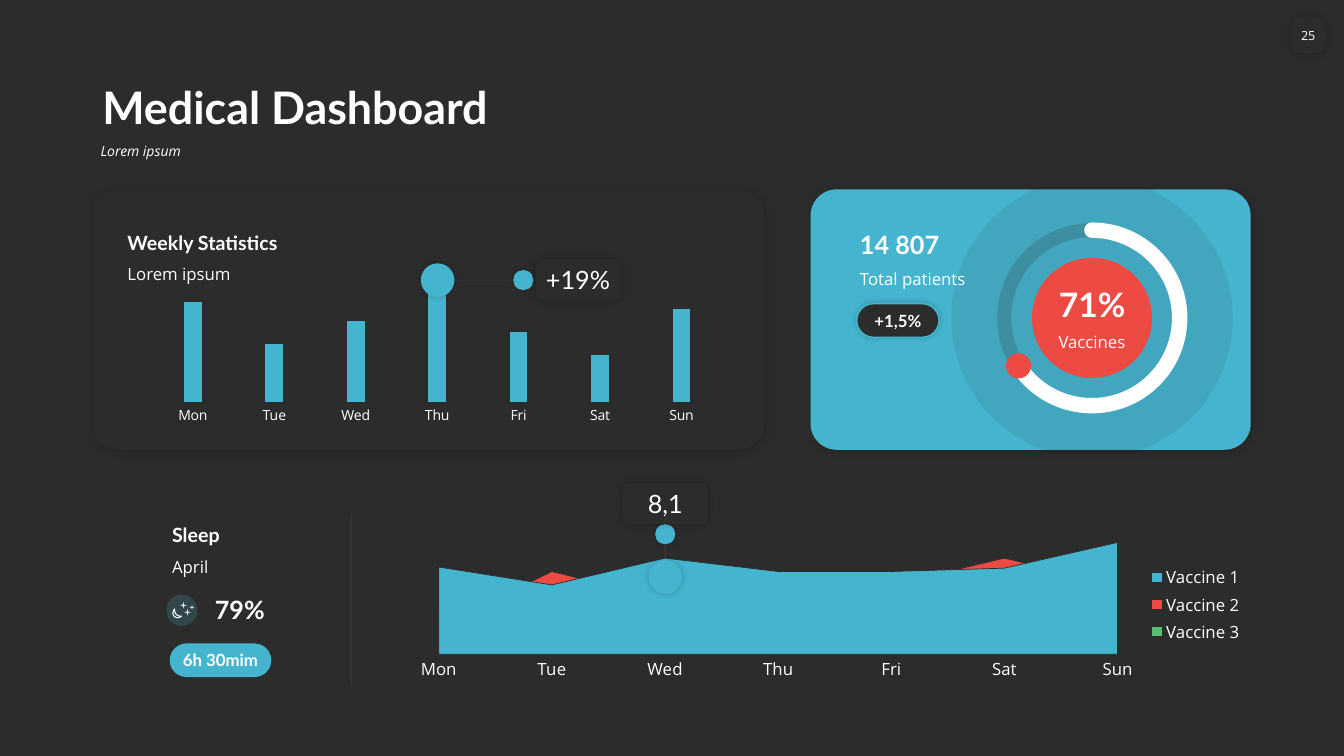
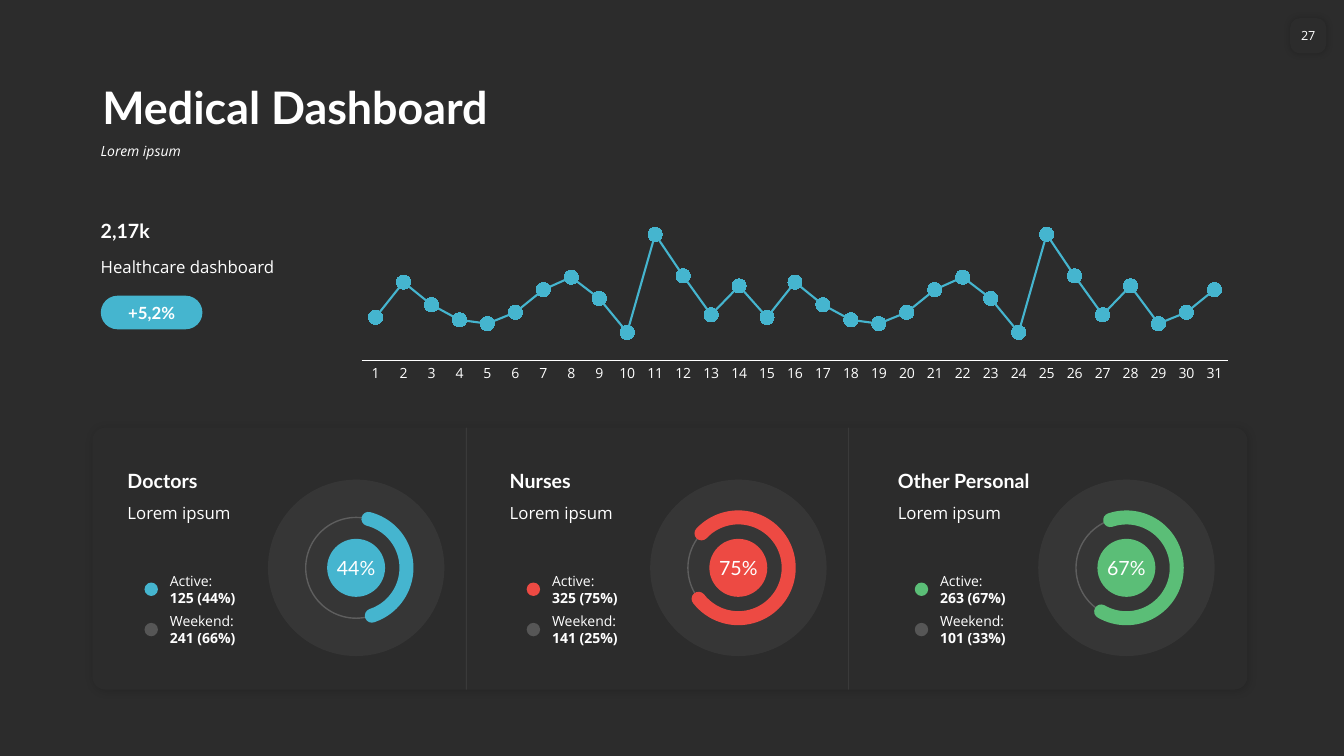
from lxml.etree import SubElement
from pptx import Presentation
from pptx.chart.data import CategoryChartData
from pptx.dml.color import RGBColor
from pptx.enum.chart import XL_CHART_TYPE, XL_LEGEND_POSITION, XL_MARKER_STYLE, XL_TICK_MARK
from pptx.enum.shapes import MSO_CONNECTOR, MSO_SHAPE
from pptx.enum.text import MSO_ANCHOR, PP_ALIGN
from pptx.oxml import parse_xml
from pptx.oxml.ns import nsdecls, qn
from pptx.util import Inches, Pt

DARK, WHITE, BLUE, RED, GREEN = "2C2C2C", "FFFFFF", "45B5CF", "ED4A43", "5BBE77"
HEAD, BODY = "Lato", "Open Sans"
DAYS = ["Mon", "Tue", "Wed", "Thu", "Fri", "Sat", "Sun"]
COLS, ROWS = 160, 90
PAD = (0.1, 0.05)
SOFT, WIDE = (20, 5, 0), (15, 6, 1)

prs = Presentation()
prs.slide_width, prs.slide_height = Inches(13.333), Inches(7.5)


def rgb(color):
    return RGBColor.from_string(color)


def place(box, x, y, w, h):
    cw, rh = prs.slide_width / COLS, prs.slide_height / ROWS
    return [int(v) for v in ((box[0] + x) * cw, (box[1] + y) * rh, w * cw, h * rh)]


def fade(element, alpha):
    for clr in element.iter(qn("a:srgbClr")):
        SubElement(clr, qn("a:alpha"), val=str(alpha * 1000))


def style_line(line, color, width):
    line.color.rgb = rgb(color)
    line.width = Pt(width)


def style_font(font, size, name=BODY, bold=False, italic=False):
    font.size, font.name, font.bold, font.italic = Pt(size), name, bold, italic
    font.color.rgb = rgb(WHITE)


def write(tf, runs, anchor=MSO_ANCHOR.TOP, align=PP_ALIGN.LEFT, pad=PAD, wrap=True, spacing=1.0):
    tf.word_wrap, tf.vertical_anchor = wrap, anchor
    tf.margin_left = tf.margin_right = Inches(pad[0])
    tf.margin_top = tf.margin_bottom = Inches(pad[1])
    for i, (text, *font) in enumerate(runs):
        p = tf.add_paragraph() if i else tf.paragraphs[0]
        p.alignment, p.line_spacing = align, spacing
        r = p.add_run()
        r.text = text
        style_font(r.font, *font)


def label(s, box, part, runs, **kw):
    write(s.shapes.add_textbox(*place(box, *part)).text_frame, runs, **kw)


def heading(s, box, x, y, w, title, note, size=14, gap=0.0, align=PP_ALIGN.LEFT):
    h = {14: 4.1, 18: 4.8, 24: 6}[size]
    label(s, box, (x, y, w, h), [(title, size, HEAD, True)], anchor=MSO_ANCHOR.BOTTOM, align=align)
    if note:
        label(s, box, (x, y + h + gap, w, 3.6), [(note, 12)], align=align)


def shape(s, box, part, kind, fill=None, line=None, alpha=None, shadow=None, adj=()):
    sp = s.shapes.add_shape(kind, *place(box, *part))
    sp.shadow.inherit = False
    for i, v in enumerate(adj):
        sp.adjustments[i] = v
    if fill:
        sp.fill.solid()
        sp.fill.fore_color.rgb = rgb(fill)
    else:
        sp.fill.background()
    if line:
        style_line(sp.line, *line)
    else:
        sp.line.fill.background()
    if alpha:
        fade(sp.element.spPr, alpha)
    if shadow:
        opacity, blur, dist = shadow
        outer = SubElement(sp.element.spPr.find(qn("a:effectLst")), qn("a:outerShdw"),
                           blurRad=str(Pt(blur)), dist=str(Pt(dist)), dir="2700000")
        clr = SubElement(outer, qn("a:srgbClr"), val="000000")
        SubElement(clr, qn("a:alpha"), val=str(opacity * 1000))
    return sp


def disc(s, box, cx, cy, d, fill=None, **kw):
    return shape(s, box, (cx - d / 2, cy - d / 2, d, d), MSO_SHAPE.OVAL, fill, **kw)


def arc(s, box, cx, cy, d, start, end, color, width):
    sp = shape(s, box, (cx - d / 2, cy - d / 2, d, d), MSO_SHAPE.ARC, line=(color, width),
               adj=(start * 0.6, end * 0.6))
    sp.element.spPr.find(qn("a:ln")).set("cap", "rnd")


def panel(s, box, fill, radius):
    shape(s, box, (0, 0, *box[2:]), MSO_SHAPE.ROUNDED_RECTANGLE, fill, shadow=WIDE, adj=(radius,))


def pill(s, box, x, y, w, text, fill=BLUE, **kw):
    sp = shape(s, box, (x, y, w, 4), MSO_SHAPE.ROUNDED_RECTANGLE, fill, adj=(0.5,), **kw)
    write(sp.text_frame, [(text, 12, HEAD, True)], MSO_ANCHOR.MIDDLE, PP_ALIGN.CENTER, (0, 0))


def callout(s, box, x, y, text, align):
    sp = shape(s, box, (x, y, 10.2, 4.9), MSO_SHAPE.ROUNDED_RECTANGLE, DARK, shadow=SOFT)
    write(sp.text_frame, [(text, 18, HEAD)], MSO_ANCHOR.MIDDLE, align, (0.08, 0.05))


def hairline(s, box, x1, y1, x2, y2):
    a, b = place(box, x1, y1, 0, 0), place(box, x2, y2, 0, 0)
    cn = s.shapes.add_connector(MSO_CONNECTOR.STRAIGHT, *a[:2], *b[:2])
    style_line(cn.line, WHITE, 0.5)
    fade(cn._element.spPr, 10)
    SubElement(cn._element.spPr, qn("a:effectLst"))


def chart(s, box, part, kind, cats, series, inner, size, axis_line=True):
    data = CategoryChartData()
    data.categories = cats
    for name, vals in series:
        data.add_series(name, vals)
    ch = s.shapes.add_chart(kind, *place(box, *part), data).chart
    ch.has_title = ch.has_legend = False
    style_font(ch.font, size)
    va, ca = ch.value_axis, ch.category_axis
    va.visible = va.has_major_gridlines = ca.has_major_gridlines = False
    va.minimum_scale, va.maximum_scale = 0, 100
    ca.major_tick_mark = ca.minor_tick_mark = XL_TICK_MARK.NONE
    style_font(ca.tick_labels.font, size)
    if axis_line:
        style_line(ca.format.line, WHITE, 0.75)
    else:
        ca.format.line.fill.background()
    ch.plots[0].vary_by_categories = False
    area = ch._chartSpace.find(".//" + qn("c:plotArea"))
    for old in area.findall(qn("c:layout")):
        area.remove(old)
    spots = "".join(f'<c:{k} val="{v}"/>' for k, v in zip("xywh", inner))
    area.insert(0, parse_xml(
        f'<c:layout {nsdecls("c")}><c:manualLayout><c:layoutTarget val="inner"/>'
        f'<c:xMode val="edge"/><c:yMode val="edge"/>{spots}</c:manualLayout></c:layout>'))
    return ch


def paint(target, color):
    target.fill.solid()
    target.fill.fore_color.rgb = rgb(color)


def base_slide(number):
    s = prs.slides.add_slide(prs.slide_layouts[6])
    paint(s.background, DARK)
    page = (0, 0, COLS, ROWS)
    label(s, page, (11, 7, 138, 9.6), [("Medical Dashboard", 32, HEAD, True)],
          anchor=MSO_ANCHOR.BOTTOM, spacing=0.9)
    label(s, page, (10.8, 16.6, 138.2, 4.3), [("Lorem ipsum", 10, BODY, False, True)], spacing=0.9)
    sp = shape(s, page, (153.6, 2.16, 4.3, 4.2), MSO_SHAPE.ROUNDED_RECTANGLE, DARK,
               shadow=SOFT, adj=(0.27,))
    write(sp.text_frame, [(number, 9)], MSO_ANCHOR.MIDDLE, PP_ALIGN.CENTER, (0, 0.05), False)
    return s


def weekly_card(s, box):
    panel(s, box, DARK, 0.1)
    ch = chart(s, box, (5.7, 8.3, 70.7, 20), XL_CHART_TYPE.COLUMN_CLUSTERED, DAYS,
               [("Series 1", (86, 50, 70, 100, 60, 40, 80))], (0.02, 0.16, 0.96, 0.69), 10, False)
    plot = ch.plots[0]
    plot.gap_width, plot.overlap = 360, -30
    paint(plot.series[0].format, BLUE)
    heading(s, box, 3, 4.2, 24, "Weekly Statistics", "Lorem ipsum")
    disc(s, box, 41.1, 10.8, 4, BLUE, shadow=SOFT)
    hairline(s, box, 43.1, 10.8, 50.4, 10.8)
    disc(s, box, 51.3, 10.8, 2.4, BLUE, shadow=SOFT)
    callout(s, box, 52.8, 8.3, "+19%", PP_ALIGN.LEFT)


def patients_card(s, box):
    cx, cy = 33.5, 15.3
    panel(s, box, BLUE, 0.1)
    disc(s, box, cx, cy, 33.5, DARK, alpha=10)
    disc(s, box, cx, cy, 14.3, RED)
    disc(s, box, cx, cy, 20.9, line=(DARK, 10), alpha=20)
    arc(s, box, cx, cy, 20.9, 270, 140.65, WHITE, 11)
    disc(s, box, 24.75, 21, 3, RED)
    heading(s, box, cx - 7.15, 10.6, 14.3, "71%", "Vaccines", 24, -0.3, PP_ALIGN.CENTER)
    heading(s, box, 4.7, 4.1, 22.3, "14 807", "Total patients", 18)
    pill(s, box, 5.5, 13.6, 9.8, "+1,5%", DARK, line=(BLUE, 1), shadow=SOFT)


def sleep_block(s, box):
    heading(s, box, 0, 0, 20, "Sleep", "April")
    disc(s, box, 2.35, 11.05, 3.7, BLUE, alpha=20)
    moon = shape(s, box, (1.35, 10.95, 0.65, 1.2), MSO_SHAPE.MOON, line=(WHITE, 0.75))
    moon.rotation = -45
    for x, y, d in ((3.56, 10.7, 0.6), (2.54, 10.46, 0.8), (3.02, 11.3, 0.8)):
        shape(s, box, (x - d / 2, y - d / 2, d, d), MSO_SHAPE.STAR_4_POINT, WHITE)
    heading(s, box, 5.1, 8.5, 14.9, "79%", "", 18)
    pill(s, box, 0.9, 15, 12.1, "6h 30mim")
    hairline(s, box, 22.5, 20, 22.5, -0.4)


def vaccine_chart(s, box):
    series = [("Vaccine 1", (78, 62, 86, 74, 74, 77, 100)),
              ("Vaccine 2", (25, 74, 49, 37, 62, 86, 62)),
              ("Vaccine 3", (37, 49, 25, 25, 49, 62, 74))]
    ch = chart(s, box, (0, 0, *box[2:]), XL_CHART_TYPE.AREA, DAYS, series,
               (0.04, 0.11, 0.8, 0.7), 12)
    for ser, color in zip(ch.plots[0].series, (BLUE, RED, GREEN)):
        paint(ser.format, color)
        style_line(ser.format.line, DARK, 0.5)
    ch.has_legend = True
    ch.legend.position = XL_LEGEND_POSITION.RIGHT
    ch.legend.include_in_layout = False
    style_font(ch.legend.font, 12)
    disc(s, box, 31, 6.2, 4, BLUE, shadow=SOFT)
    hairline(s, box, 31, 2.4, 31, 4.2)
    disc(s, box, 31, 1.1, 2.4, BLUE, shadow=SOFT)
    callout(s, box, 25.9, -5, "8,1", PP_ALIGN.CENTER)


def trend_block(s, box):
    fortnight = [34, 62, 44, 32, 29, 38, 56, 66, 49, 22, 100, 67, 36, 59]
    vals = fortnight * 2 + [29, 38, 56]
    ch = chart(s, box, (30.1, -0.6, 107.5, 21.4), XL_CHART_TYPE.LINE_MARKERS_STACKED,
               [str(d) for d in range(1, 32)], [("Series 1", vals)], (0.02, 0.15, 0.96, 0.7), 10)
    ser = ch.plots[0].series[0]
    ser.smooth = False
    style_line(ser.format.line, BLUE, 1.5)
    ser.marker.style, ser.marker.size = XL_MARKER_STYLE.CIRCLE, 10
    paint(ser.marker.format, BLUE)
    style_line(ser.marker.format.line, BLUE, 0.75)
    heading(s, box, 0, 0, 25.5, "2,17k", "Healthcare dashboard", gap=0.6)
    pill(s, box, 1.2, 9.9, 12.1, "+5,2%")


def staff_column(s, box, name, color, share, active, weekend, start, end):
    cx, cy = 28.4, 12.5
    disc(s, box, cx, cy, 21, WHITE, alpha=5)
    disc(s, box, cx, cy, 12, line=(WHITE, 1), alpha=20)
    heading(s, box, 0, 0, 34.3, name, "Lorem ipsum")
    core = disc(s, box, cx, cy, 6.9, color)
    write(core.text_frame, [(share, 14, HEAD)], MSO_ANCHOR.MIDDLE, PP_ALIGN.CENTER, (0, 0.05), False)
    arc(s, box, cx, cy, 12, start, end, color, 10)
    rows = (("Active:", active, color, None), ("Weekend:", weekend, WHITE, 20))
    for i, (title, value, fill, alpha) in enumerate(rows):
        y = 15.05 + 4.8 * i
        disc(s, box, 4, y, 1.6, fill, alpha=alpha)
        label(s, box, (5.05, y - 2.6, 14.2, 5.2), [(title, 10), (value, 10, BODY, True)],
              anchor=MSO_ANCHOR.MIDDLE)


def staff_card(s, box):
    panel(s, box, DARK, 0.05)
    staff = [(3, "Doctors", BLUE, "44%", "125 (44%)", "241 (66%)", 284.17, 71.77),
             (48.5, "Nurses", RED, "75%", "325 (75%)", "141 (25%)", 223.06, 142.01),
             (94.7, "Other Personal", GREEN, "67%", "263 (67%)", "101 (33%)", 251.29, 120.02)]
    for x, *column in staff:
        staff_column(s, (box[0] + x, box[1] + 4.2, 40, 24), *column)
    for x in (44.5, 90):
        hairline(s, box, x, box[3], x, 0)


def main():
    s = base_slide("25")
    weekly_card(s, (11, 22.55, 80, 31))
    patients_card(s, (96.5, 22.55, 52.4, 31))
    sleep_block(s, (19.3, 61.6, 20, 19))
    vaccine_chart(s, (48.2, 62.5, 101, 19))
    s = base_slide("27")
    trend_block(s, (10.8, 25.3, 138, 21))
    staff_card(s, (11, 50.9, 137.5, 31.2))
    prs.save("out.pptx")


if __name__ == "__main__":
    main()
